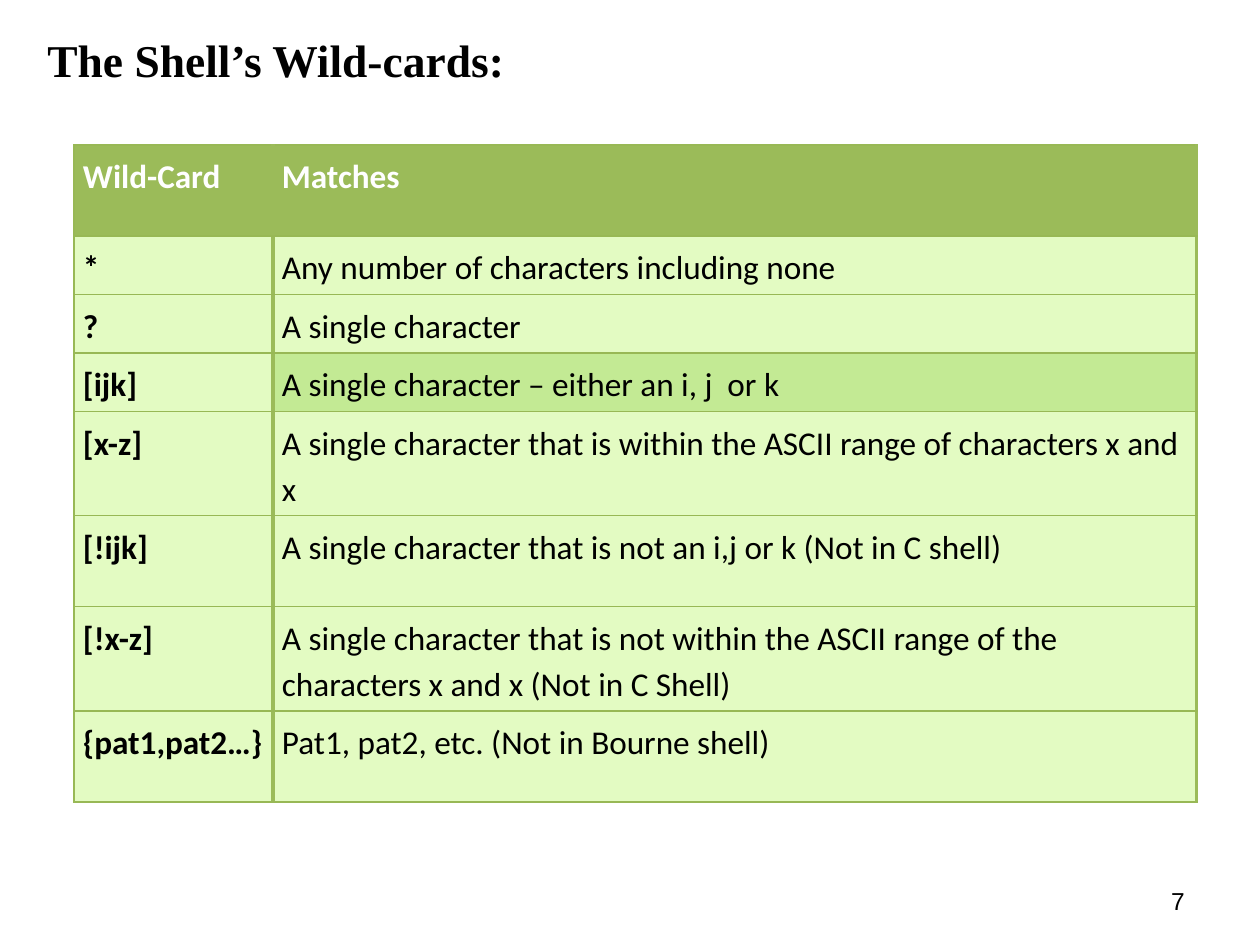
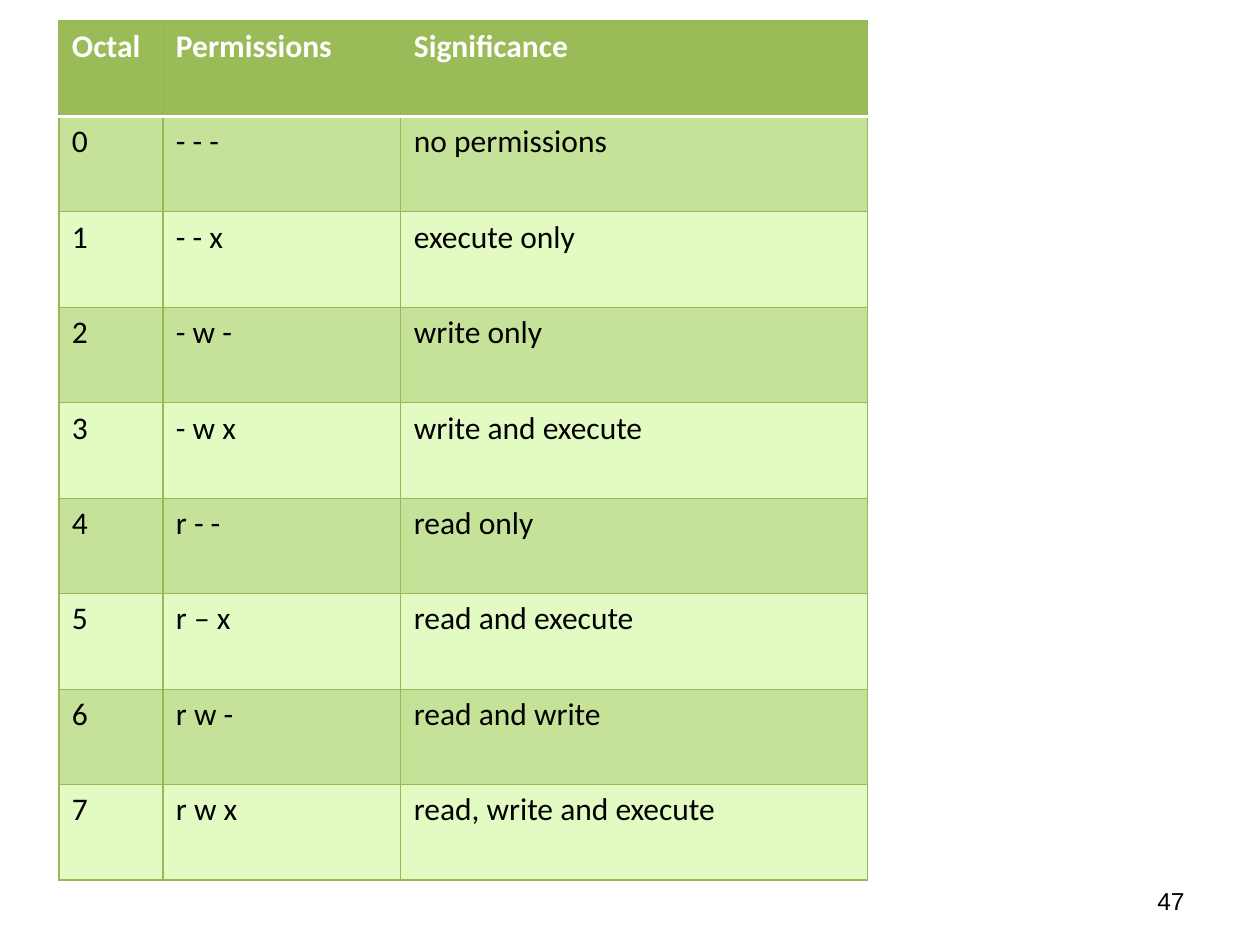
"""Build two slides with tables of shell wild-cards and octal file permissions."""
from lxml.etree import SubElement
from pptx import Presentation
from pptx.dml.color import RGBColor
from pptx.enum.text import MSO_ANCHOR, PP_ALIGN
from pptx.oxml.ns import qn
from pptx.util import Emu, Pt

PIXEL = 914400 / 126
COLORS = {
    "black": "000000",
    "white": "FFFFFF",
    "header": "9BBB59",
    "line": "98B855",
    "pale": "E3FBC2",
    "band": "C6E198",
    "highlight": "C3EA94",
}
THIN = ("line", 0.75)
COLUMN_RULE = ("header", 1.98)
HEADER_RULE = ("white", 1.98)


def px(*lengths):
    return [Emu(round(length * PIXEL)) for length in lengths]


def write(frame, text, font="Calibri", size=18, color="black", bold=False,
          align=PP_ALIGN.LEFT, spacing=None, before=None):
    frame.word_wrap = True
    paragraph = frame.paragraphs[0]
    paragraph.alignment = align
    paragraph.line_spacing = spacing
    paragraph.space_before = before
    run = paragraph.add_run()
    run.text = text
    run.font.name = font
    run.font.size = Pt(size)
    run.font.bold = bold
    run.font.color.rgb = RGBColor.from_string(COLORS[color])


wildcards = {
    "title": "The Shell’s Wild-cards:",
    "number": "7",
    "box": (74, 145, 1123, 587),
    "columns": (199, 924),
    "row_heights": (91, 44, 44, 44, 91, 91, 91, 91),
    "margin": 9,
    "size": 19,
    "spacing": 1.15,
    "bold_first_column": True,
    "bands": ("pale", "pale"),
    "highlights": {(3, 1): "highlight"},
    "column_rule": COLUMN_RULE,
    "right_rule": COLUMN_RULE,
    "header_rule": THIN,
    "rows": [
        ("Wild-Card", "Matches"),
        ("*", "Any number of characters including none"),
        ("?", "A single character"),
        ("[ijk]", "A single character – either an i, j  or k"),
        ("[x-z]", "A single character that is within the ASCII range of characters x and x"),
        ("[!ijk]", "A single character that is not an i,j or k (Not in C shell)"),
        ("[!x-z]", "A single character that is not within the ASCII range of the "
                   "characters x and x (Not in C Shell)"),
        ("{pat1,pat2…}", "Pat1, pat2, etc. (Not in Bourne shell)"),
    ],
}
permissions = {
    "title": None,
    "number": "47",
    "box": (59, 21, 809, 859),
    "columns": (104, 238, 467),
    "row_heights": (),
    "margin": 13,
    "size": 18,
    "spacing": None,
    "bold_first_column": False,
    "bands": ("band", "pale"),
    "highlights": {},
    "column_rule": THIN,
    "right_rule": THIN,
    "header_rule": HEADER_RULE,
    "rows": [
        ("Octal", "Permissions", "Significance"),
        ("0", "- - -", "no permissions"),
        ("1", "- - x", "execute only"),
        ("2", "- w -", "write only"),
        ("3", "- w x", "write and execute"),
        ("4", "r - -", "read only"),
        ("5", "r – x", "read and execute"),
        ("6", "r w -", "read and write"),
        ("7", "r w x", "read, write and execute"),
    ],
}

presentation = Presentation()
presentation.slide_width, presentation.slide_height = px(1260, 945)

for content in (wildcards, permissions):
    slide = presentation.slides.add_slide(presentation.slide_layouts[6])
    if content["title"]:
        title = slide.shapes.add_textbox(*px(35, 26, 1171, 873))
        write(title.text_frame, content["title"], font="Times New Roman",
              size=26, bold=True, before=Pt(3))
    number = slide.shapes.add_textbox(*px(903, 876, 294, 50))
    number.text_frame.vertical_anchor = MSO_ANCHOR.MIDDLE
    write(number.text_frame, content["number"], font="Arial", size=14,
          align=PP_ALIGN.RIGHT)

    rows = content["rows"]
    last_column = len(content["columns"]) - 1
    table = slide.shapes.add_table(len(rows), last_column + 1, *px(*content["box"])).table
    table.first_row = False
    table.horz_banding = False
    for column, width in zip(table.columns, px(*content["columns"])):
        column.width = width
    for row, height in zip(table.rows, px(*content["row_heights"])):
        row.height = height

    for row_index, texts in enumerate(rows):
        for column_index, text in enumerate(texts):
            cell = table.cell(row_index, column_index)
            is_header = row_index == 0
            cell.margin_left, cell.margin_right = px(content["margin"], content["margin"])
            write(cell.text_frame, text, size=content["size"],
                  color="white" if is_header else "black",
                  bold=is_header or (content["bold_first_column"] and column_index == 0),
                  spacing=content["spacing"])

            borders = {
                "a:lnL": content["column_rule"] if column_index else THIN,
                "a:lnR": content["right_rule" if column_index == last_column else "column_rule"],
                "a:lnT": content["header_rule"] if row_index == 1 else THIN,
                "a:lnB": content["header_rule"] if is_header else THIN,
            }
            properties = cell._tc.get_or_add_tcPr()
            for tag, (color, width) in borders.items():
                line = SubElement(properties, qn(tag), w=str(Pt(width)))
                fill = SubElement(line, qn("a:solidFill"))
                SubElement(fill, qn("a:srgbClr"), val=COLORS[color])

            body_color = content["bands"][(row_index - 1) % 2]
            cell_color = content["highlights"].get((row_index, column_index), body_color)
            cell.fill.solid()
            cell.fill.fore_color.rgb = RGBColor.from_string(
                COLORS["header" if is_header else cell_color])

presentation.save("out.pptx")
